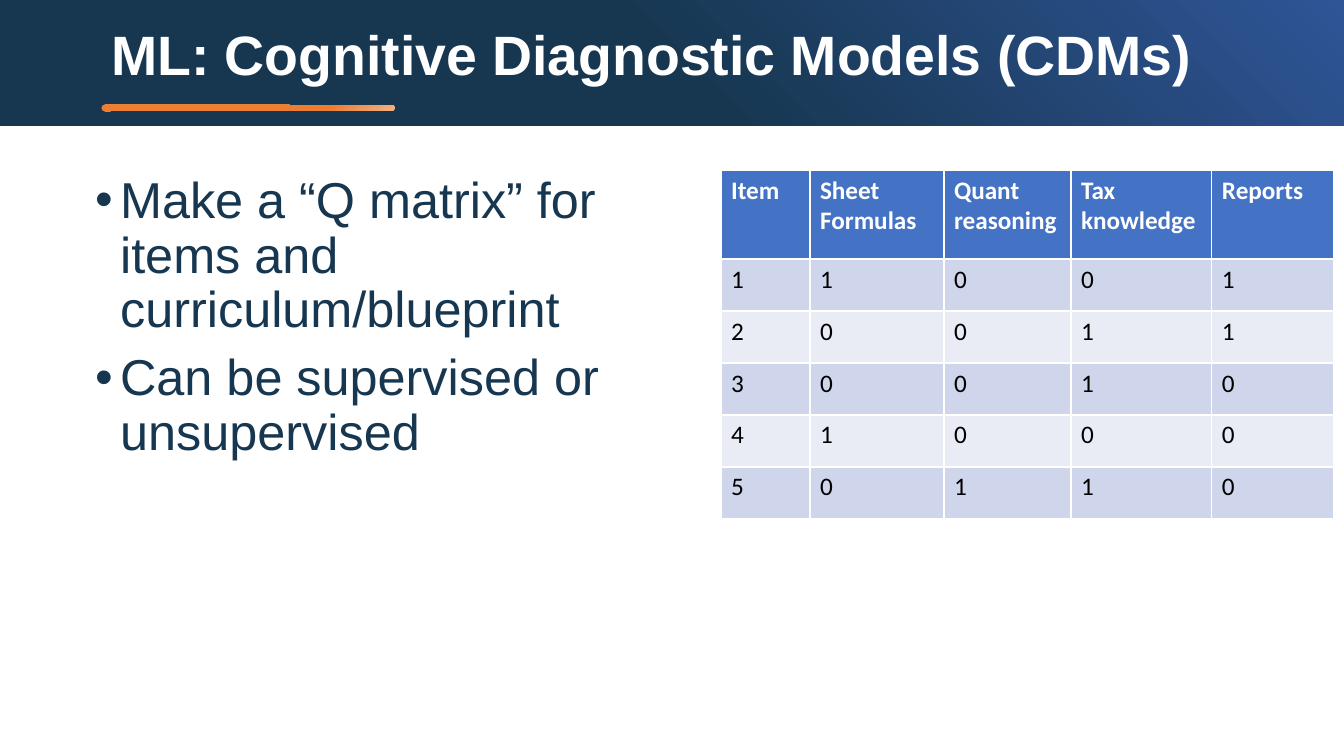
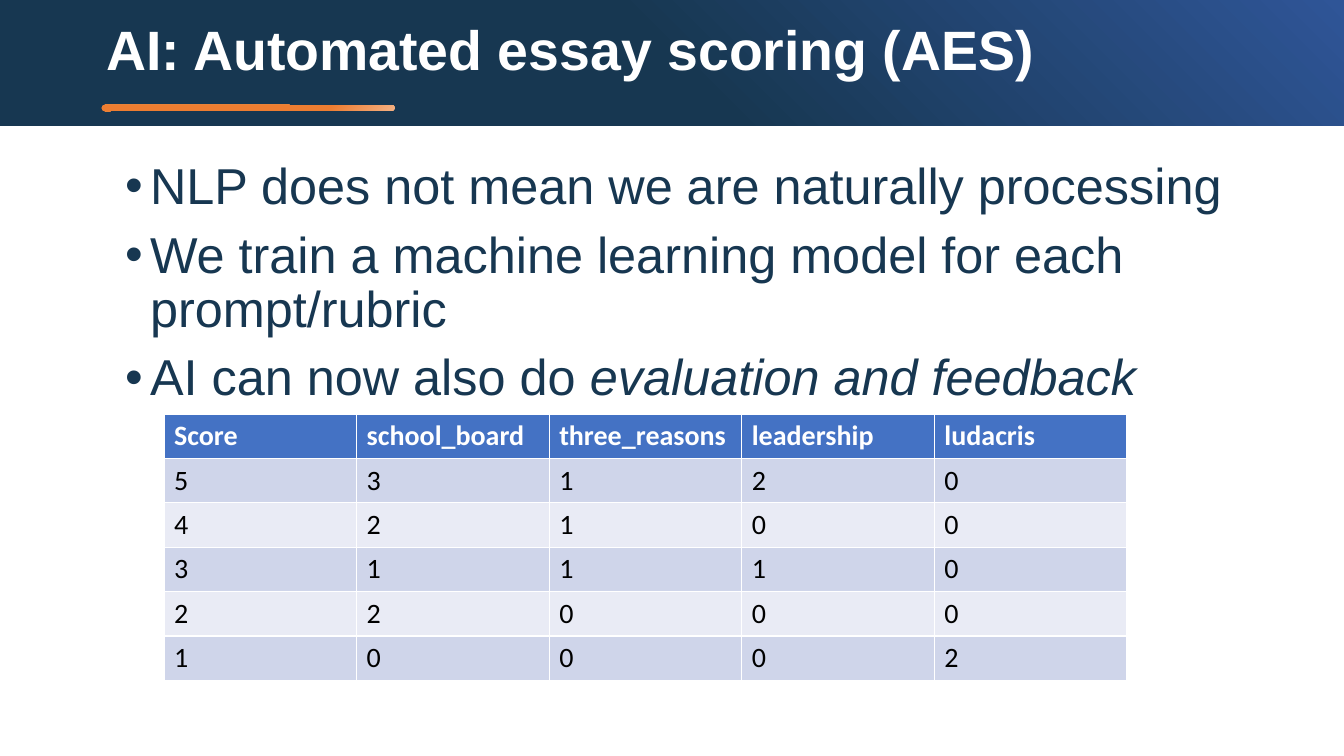
from pptx import Presentation
from pptx.dml.color import RGBColor
from pptx.enum.shapes import MSO_SHAPE
from pptx.enum.text import MSO_ANCHOR, MSO_AUTO_SIZE, PP_ALIGN
from pptx.util import Pt

SCALE = 914400 / 100.8
HUES = {
    "navy": "173751", "blue": "2F5597", "peach": "F4B183", "orange": "ED7D31",
    "head": "4472C4", "odd": "CFD5EA", "even": "E9EBF5",
    "white": "FFFFFF", "black": "000000",
}


def px(count):
    return round(count * SCALE)


def hue(name):
    return RGBColor.from_string(HUES[name])


def place(shape, box):
    shape.left, shape.top, shape.width, shape.height = map(px, box)


def style(para, face, size, color, bold=False):
    font = para.font
    font.name, font.size, font.bold = face, Pt(size), bold
    font.color.rgb = hue(color)


# Shared header, kept in the layout
def add_bar(slide, kind, box, stops, angle):
    bar = slide.shapes.add_shape(kind, *map(px, box))
    bar.shadow.inherit = False
    bar.line.fill.background()
    bar.fill.gradient()
    bar.fill.gradient_angle = angle
    for stop, (color, place_at) in zip(bar.fill.gradient_stops, stops):
        stop.color.rgb = hue(color)
        stop.position = place_at
    return bar


def add_header(layout, slide):
    band = add_bar(slide, MSO_SHAPE.RECTANGLE, (0, 0, 1344, 126),
                   [("navy", 0.5), ("blue", 1)], 45)
    rule = add_bar(slide, MSO_SHAPE.ROUNDED_RECTANGLE, (102, 105, 293, 6),
                   [("peach", 0), ("orange", 0.23)], 135)
    rule.adjustments[0] = 0.5
    tree = layout.shapes.element
    for index, bar in enumerate((band, rule), start=2):
        tree.insert(index, bar.element)


# Title and list placeholders
def set_title(slide, text, box):
    title = slide.shapes.title
    place(title, box)
    frame = title.text_frame
    frame.text = text
    frame.auto_size = MSO_AUTO_SIZE.NONE
    frame.vertical_anchor = MSO_ANCHOR.MIDDLE
    para = frame.paragraphs[0]
    para.alignment = PP_ALIGN.LEFT
    para.line_spacing = 0.9
    style(para, "Arial", 39.6, "white", True)


def set_list(slide, items, box):
    """Fill the body; text between asterisks is italic."""
    body = slide.placeholders[1]
    place(body, box)
    frame = body.text_frame
    frame.auto_size = MSO_AUTO_SIZE.NONE
    frame.vertical_anchor = MSO_ANCHOR.TOP
    for index, item in enumerate(items):
        para = frame.add_paragraph() if index else frame.paragraphs[0]
        props = para._p.get_or_add_pPr()
        props.set("marL", str(px(25)))
        props.set("indent", str(px(-25)))
        para.line_spacing = 0.9
        para.space_before = Pt(10 if index else 0)
        style(para, "Arial", 36, "navy")
        for part, text in enumerate(item.split("*")):
            if text:
                run = para.add_run()
                run.text = text
                if part % 2:
                    run.font.italic = True


# Tables
def add_grid(slide, rows, box, shares, heights, size):
    table = slide.shapes.add_table(len(rows), len(shares), *map(px, box)).table
    for column, share in zip(table.columns, shares):
        column.width = px(box[2] * share / sum(shares))
    for index, (row, values) in enumerate(zip(table.rows, rows)):
        row.height = px(heights[index])
        back = ("odd" if index % 2 else "even") if index else "head"
        for cell, value in zip(row.cells, values):
            cell.text = value
            cell.fill.solid()
            cell.fill.fore_color.rgb = hue(back)
            style(cell.text_frame.paragraphs[0], "Calibri", size,
                  "black" if index else "white", not index)


def main():
    deck = Presentation()
    deck.slide_width, deck.slide_height = px(1344), px(756)
    layout = deck.slide_layouts[1]

    # Diagnostic models
    slide = deck.slides.add_slide(layout)
    add_header(layout, slide)
    set_title(slide, "ML: Cognitive Diagnostic Models (CDMs)", (101, 16, 1148, 83))
    set_list(slide, ["Make a “Q matrix” for items and curriculum/blueprint",
                     "Can be supervised or unsupervised"], (85, 170, 636, 512))
    heads = ["Item", "Sheet Formulas", "Quant reasoning", "Tax knowledge", "Reports"]
    add_grid(slide, [heads, "11001", "20011", "30010", "41000", "50110"],
             (721, 170, 613, 349), [89, 134, 127, 141, 122], [89] + [52] * 5, 18)

    # Essay scoring
    slide = deck.slides.add_slide(layout)
    set_title(slide, "AI: Automated essay scoring (AES)", (96, 11, 1012, 83))
    set_list(slide, ["NLP does not mean we are naturally processing",
                     "We train a machine learning model for each prompt/rubric",
                     "AI can now also do *evaluation and feedback*"],
             (115, 156, 1156, 512))
    heads = ["Score", "school_board", "three_reasons", "leadership", "ludacris"]
    add_grid(slide, [heads, "53120", "42100", "31110", "22000", "10002"],
             (164, 414, 963, 264), [1] * 5, [44] * 6, 20)

    deck.save("out.pptx")


if __name__ == "__main__":
    main()
